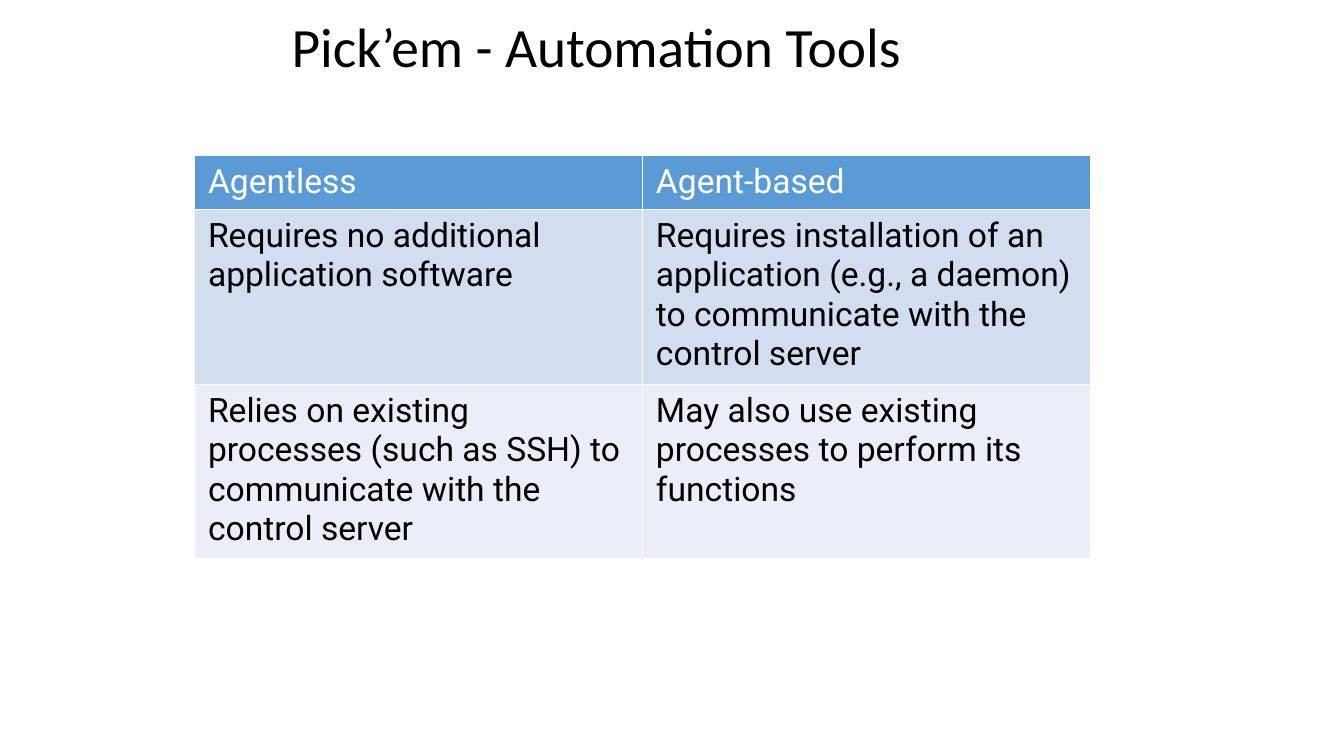
from lxml.etree import SubElement as Sub
from pptx import Presentation
from pptx.dml.color import RGBColor as Rgb
from pptx.enum.text import MSO_ANCHOR as Anchor, PP_ALIGN as Align
from pptx.oxml.ns import qn
from pptx.util import Pt

HUES = {"ink": "000000", "white": "FFFFFF", "head": "5B9BD5",
        "odd": "D2DEEF", "even": "EAEFF7"}

ROWS = [
    ("Agentless", "Agent-based"),
    ("Requires no additional application software",
     "Requires installation of an application (e.g., a daemon) "
     "to communicate with the control server"),
    ("Relies on existing processes (such as SSH) to communicate "
     "with the control server",
     "May also use existing processes to perform its functions"),
]


class Deck:
    def __init__(self):
        self.show = Presentation()
        self.show.slide_width, self.show.slide_height = Pt(960), Pt(540)
        self.slide = self.show.slides.add_slide(self.show.slide_layouts[5])

    def text(self, frame, words, face, size, hue):
        para = frame.paragraphs[0]
        run = para.add_run()
        run.text = words
        font = run.font
        font.name, font.size, font.bold = face, Pt(size), False
        font.color.rgb = Rgb.from_string(HUES[hue])
        return para

    def title(self, words, left, top, width, height):
        box = self.slide.shapes.title
        box.left, box.top = Pt(left), Pt(top)
        box.width, box.height = Pt(width), Pt(height)
        frame = box.text_frame
        frame.margin_left = frame.margin_right = 0
        frame.margin_top = frame.margin_bottom = 0
        frame.vertical_anchor = Anchor.MIDDLE
        frame.word_wrap = True
        para = self.text(frame, words, "Calibri", 39.6, "ink")
        para.alignment = Align.CENTER
        para.line_spacing = 0.9

    def edge(self, cell):
        """Draw thin white lines on all four sides of a cell."""
        props = cell._tc.get_or_add_tcPr()
        for side in ("lnL", "lnR", "lnT", "lnB"):
            line = Sub(props, qn(f"a:{side}"), w=str(Pt(1)))
            fill = Sub(line, qn("a:solidFill"))
            Sub(fill, qn("a:srgbClr"), val=HUES["white"])

    def table(self, rows, left, top, width, highs):
        grid = self.slide.shapes.add_table(
            len(rows), len(rows[0]), Pt(left), Pt(top),
            Pt(width), Pt(sum(highs))).table
        for row, high in zip(grid.rows, highs):
            row.height = Pt(high)
        for i, (line, back) in enumerate(zip(rows, ("head", "odd", "even"))):
            for j, words in enumerate(line):
                cell = grid.cell(i, j)
                cell.margin_left = cell.margin_right = Pt(9.6)
                cell.margin_top = cell.margin_bottom = Pt(4.8)
                self.edge(cell)
                cell.fill.solid()
                cell.fill.fore_color.rgb = Rgb.from_string(HUES[back])
                hue = "ink" if i else "white"
                self.text(cell.text_frame, words, "Roboto", 24, hue)


def main():
    deck = Deck()
    deck.title("Pick’em - Automation Tools", 25.2, 19.4, 801.4, 32.4)
    deck.table(ROWS, 139, 111, 640, (38.6, 124.8, 124.8))
    deck.show.save("out.pptx")


if __name__ == "__main__":
    main()
